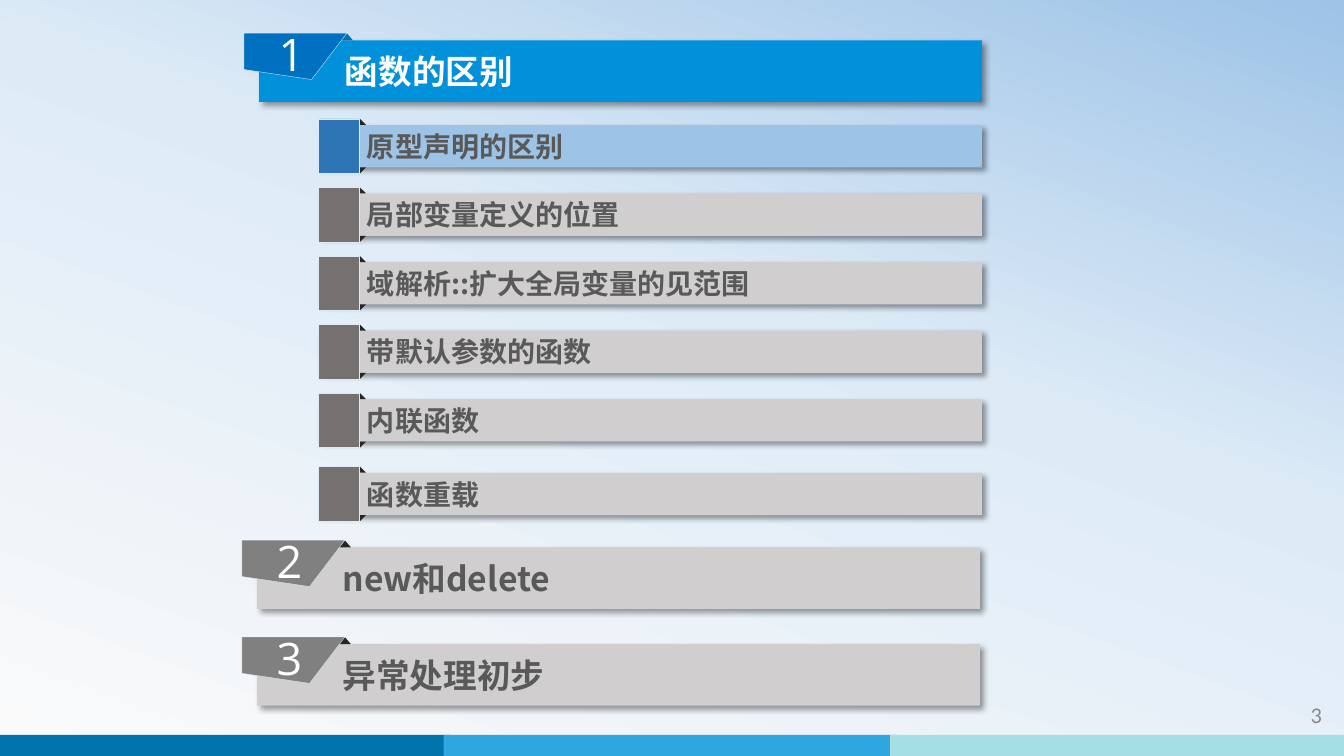
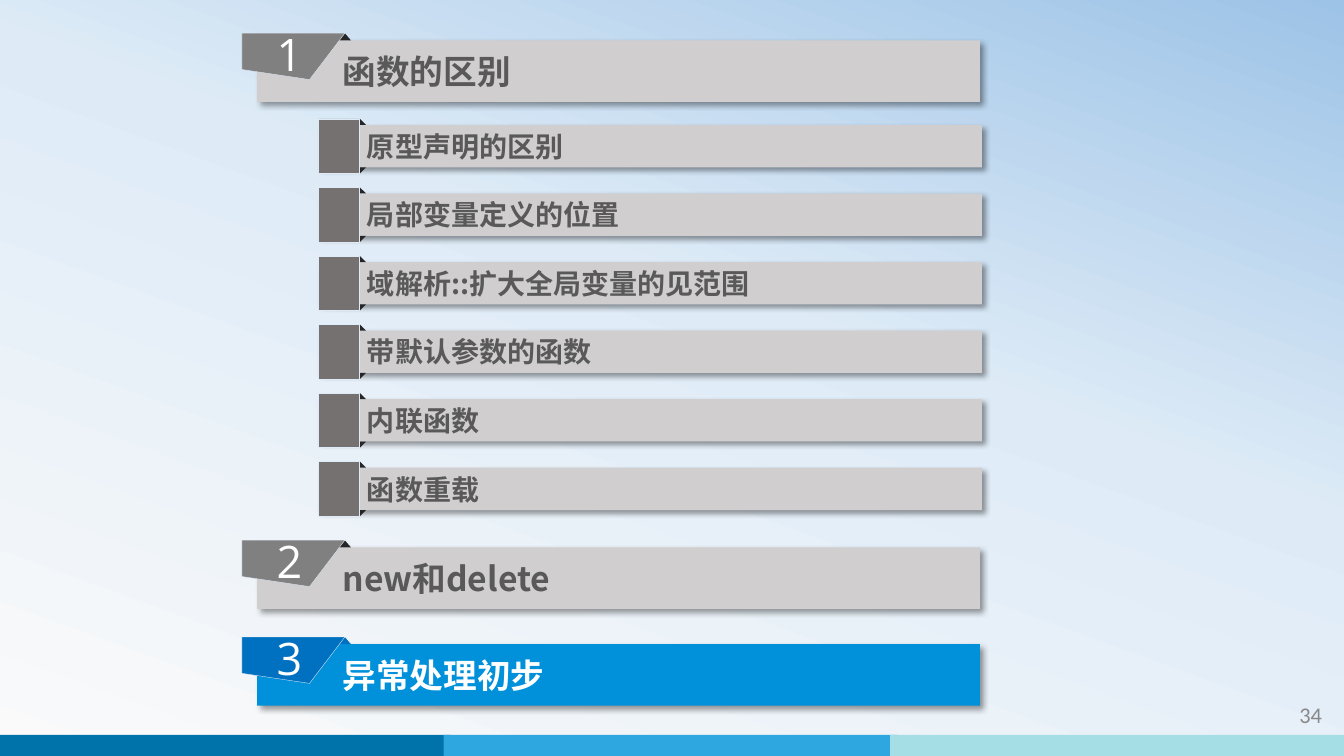
from lxml.etree import SubElement
from pptx import Presentation
from pptx.dml.color import RGBColor
from pptx.enum.shapes import MSO_SHAPE as Preset
from pptx.enum.text import MSO_ANCHOR as Anchor, PP_ALIGN as Align
from pptx.oxml import parse_xml
from pptx.oxml.ns import nsdecls, qn
from pptx.util import Inches, Pt

# Colours
WHITE = RGBColor(0xFF, 0xFF, 0xFF)
TEXT_GREY = RGBColor(0x59, 0x59, 0x59)
NUMBER_GREY = RGBColor(0x89, 0x89, 0x89)
BAR_GREY = RGBColor(0xD0, 0xCE, 0xCE)
TAB_GREY = RGBColor(0x80, 0x80, 0x80)
MARKER_GREY = RGBColor(0x76, 0x71, 0x71)
FOLD_DARK = RGBColor(0x26, 0x26, 0x26)
CHAPTER_BLUE = RGBColor(0x00, 0x91, 0xDA)
TAB_BLUE = RGBColor(0x00, 0x70, 0xC0)
SECTION_BLUE = RGBColor(0x9D, 0xC3, 0xE6)
MARKER_BLUE = RGBColor(0x2E, 0x75, 0xB6)
PALE_BLUE = RGBColor(0xDE, 0xEB, 0xF7)
NEAR_WHITE = RGBColor(0xFA, 0xFA, 0xFA)
BAND_COLOURS = (RGBColor(0x00, 0x73, 0xAB), RGBColor(0x2E, 0xA7, 0xE0),
                RGBColor(0xA5, 0xDE, 0xE4))
BACKGROUND_STOPS = ((0, NEAR_WHITE), (58, PALE_BLUE), (100, SECTION_BLUE))

# Fonts
HEADING_FONT = "Noto Sans CJK SC"
TAB_FONT = "Open Sans"
NUMBER_FONT = "Calibri"

# Layout, in inches
WIDTH, HEIGHT = 13.33, 7.5
BAND_PITCH, BAND_WIDTH, BAND_HEIGHT = 4.43, 4.5, 0.21
CHAPTER_LEFT, CHAPTER_WIDTH, CHAPTER_HEIGHT = 2.55, 7.17, 0.61
CHAPTER_TOPS = (0.4, 5.43, 6.39)
TAB_OUTLINE = ((0, 0), (1.02, 0), (0.67, 0.46), (0, 0.36))
SECTION_LEFT, SECTION_WIDTH, SECTION_HEIGHT = 3.17, 6.57, 0.42
SECTION_TOP, SECTION_PITCH = 1.24, 0.68
MARKER_WIDTH, MARKER_OVERHANG = 0.4, 0.06
FOLD_WIDTH = 0.12

# Content
CHAPTERS = ("函数的区别", "new和delete", "异常处理初步")
SECTIONS = ("原型声明的区别", "局部变量定义的位置", "域解析::扩大全局变量的见范围",
            "带默认参数的函数", "内联函数", "函数重载")


def paint(shape, fill, line=None):
    shape.shadow.inherit = False
    shape.fill.solid()
    shape.fill.fore_color.rgb = fill
    if line is None:
        shape.line.fill.background()
    else:
        shape.line.color.rgb = line
        shape.line.width = Pt(0.25)


def add_block(slide, preset, left, top, width, height, fill, line=None):
    shape = slide.shapes.add_shape(preset, Inches(left), Inches(top),
                                   Inches(width), Inches(height))
    paint(shape, fill, line)
    return shape


def write(shape, text, font_name, size, colour, align, bold=False):
    shape.text_frame.word_wrap = True
    paragraph = shape.text_frame.paragraphs[0]
    paragraph.text = text
    paragraph.alignment = align
    font = paragraph.font
    font.name, font.size, font.bold = font_name, Pt(size), bold
    font.color.rgb = colour
    # East Asian letters take their own typeface
    properties = paragraph._p.pPr.find(qn("a:defRPr"))
    SubElement(properties, qn("a:ea")).set("typeface", font_name)


def add_bar(slide, left, top, width, height, fill, text, size, colour, indent):
    """Heading bar with a soft shadow to the lower right."""
    bar = add_block(slide, Preset.RECTANGLE, left, top, width, height, fill)
    effects = bar._element.spPr.find(qn("a:effectLst"))
    effects.append(parse_xml(
        f'<a:outerShdw {nsdecls("a")} blurRad="{Pt(4)}" dist="{Pt(3)}" '
        'dir="2700000" algn="tl" rotWithShape="0"><a:srgbClr val="000000">'
        '<a:alpha val="40000"/></a:srgbClr></a:outerShdw>'))
    bar.text_frame.margin_left = Inches(indent)
    bar.text_frame.vertical_anchor = Anchor.MIDDLE
    write(bar, text, HEADING_FONT, size, colour, Align.LEFT, bold=True)
    return bar


def add_tab(slide, left, top, number, fill):
    points = [(Inches(left + x), Inches(top + y)) for x, y in TAB_OUTLINE]
    builder = slide.shapes.build_freeform(*points[0])
    builder.add_line_segments(points[1:], close=True)
    tab = builder.convert_to_shape()
    paint(tab, fill, PALE_BLUE)
    frame = tab.text_frame
    frame.vertical_anchor = Anchor.MIDDLE
    frame.margin_left, frame.margin_right = Inches(0.09), Inches(0.17)
    frame.margin_top, frame.margin_bottom = Inches(0.04), Inches(0.1)
    write(tab, str(number), TAB_FONT, 32, WHITE, Align.CENTER)
    return tab


def add_chapter(slide, number, title, left, top, active):
    bar_fill, tab_fill, fold_fill, text_colour = (
        (CHAPTER_BLUE, TAB_BLUE, TAB_BLUE, WHITE) if active
        else (BAR_GREY, TAB_GREY, FOLD_DARK, TEXT_GREY))
    tab_top = top - 0.07
    slide.shapes.add_group_shape([
        add_bar(slide, left, top, CHAPTER_WIDTH, CHAPTER_HEIGHT, bar_fill,
                title, 24, text_colour, 0.85),
        add_block(slide, Preset.ISOSCELES_TRIANGLE, left + 0.81, tab_top,
                  FOLD_WIDTH, 0.07, fold_fill),
        add_tab(slide, left - 0.15, tab_top, number, tab_fill)])


def add_section(slide, title, top, active):
    bar_fill, marker_fill = ((SECTION_BLUE, MARKER_BLUE) if active
                             else (BAR_GREY, MARKER_GREY))
    marker_left = SECTION_LEFT - 0.01
    fold_left = marker_left + MARKER_WIDTH - 0.05
    bar = add_bar(slide, SECTION_LEFT, top, SECTION_WIDTH, SECTION_HEIGHT,
                  bar_fill, title, 20, TEXT_GREY, 0.47)
    upper, lower = [
        add_block(slide, Preset.ISOSCELES_TRIANGLE, fold_left, fold_top,
                  FOLD_WIDTH, MARKER_OVERHANG, FOLD_DARK)
        for fold_top in (top - MARKER_OVERHANG, top + SECTION_HEIGHT)]
    lower.rotation = 180
    marker = add_block(slide, Preset.RECTANGLE, marker_left,
                       top - MARKER_OVERHANG, MARKER_WIDTH,
                       SECTION_HEIGHT + 2 * MARKER_OVERHANG, marker_fill,
                       PALE_BLUE)
    slide.shapes.add_group_shape([bar, upper, lower, marker])


def set_background(master):
    """Gradient that every slide inherits."""
    fill = master.background.fill
    fill.gradient()
    gradient = master._element.cSld.find(".//" + qn("a:gradFill"))
    stops = gradient.find(qn("a:gsLst"))
    for stop in list(stops):
        stops.remove(stop)
    for position, colour in BACKGROUND_STOPS:
        stop = SubElement(stops, qn("a:gs"), pos=str(position * 1000))
        SubElement(stop, qn("a:srgbClr"), val=str(colour))
    gradient.find(qn("a:lin")).set("ang", str(290 * 60000))


def add_footer(slide, page):
    for index, colour in enumerate(BAND_COLOURS):
        add_block(slide, Preset.RECTANGLE, index * BAND_PITCH - 0.03,
                  HEIGHT - BAND_HEIGHT, BAND_WIDTH, BAND_HEIGHT, colour)
    box = slide.shapes.add_textbox(Inches(11.62), Inches(6.91),
                                   Inches(1.59), Inches(0.4))
    write(box, str(page), NUMBER_FONT, 16, NUMBER_GREY, Align.RIGHT)


def add_outline(presentation, page, active_chapter, active_section=None,
                first_shift=0, last_shift=0):
    """Outline slide; the shifts move the first chapter and last section."""
    slide = presentation.slides.add_slide(presentation.slide_layouts[6])
    add_footer(slide, page)
    for number, (title, top) in enumerate(zip(CHAPTERS, CHAPTER_TOPS), 1):
        left = CHAPTER_LEFT + (first_shift if number == 1 else 0)
        add_chapter(slide, number, title, left, top, number == active_chapter)
    for number, title in enumerate(SECTIONS, 1):
        top = SECTION_TOP + (number - 1) * SECTION_PITCH
        top += last_shift if number == len(SECTIONS) else 0
        add_section(slide, title, top, number == active_section)


def main():
    presentation = Presentation()
    presentation.slide_width = Inches(WIDTH)
    presentation.slide_height = Inches(HEIGHT)
    set_background(presentation.slide_master)
    add_outline(presentation, 3, active_chapter=1, active_section=1,
                first_shift=0.02, last_shift=0.05)
    add_outline(presentation, 34, active_chapter=3)
    presentation.save("out.pptx")


if __name__ == "__main__":
    main()
